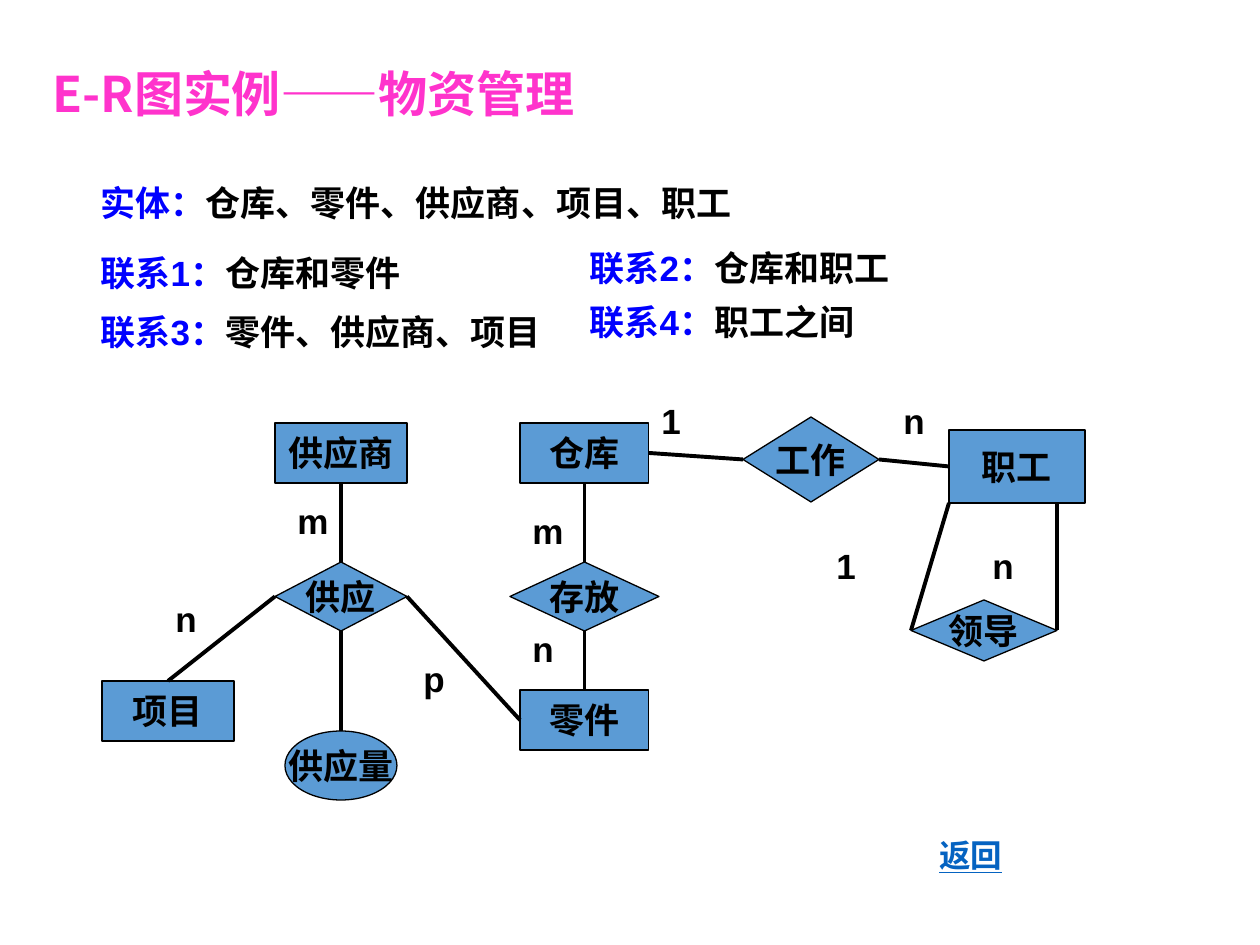
from lxml import etree
from pptx import Presentation
from pptx.dml.color import RGBColor
from pptx.enum.shapes import MSO_CONNECTOR, MSO_SHAPE
from pptx.enum.text import MSO_ANCHOR, PP_ALIGN
from pptx.oxml.ns import qn
from pptx.util import Inches, Pt

PX = Inches(1) // 126
RECT, DIAMOND, OVAL = MSO_SHAPE.RECTANGLE, MSO_SHAPE.DIAMOND, MSO_SHAPE.OVAL
STRAIGHT = MSO_CONNECTOR.STRAIGHT
LEFT, CENTER, MIDDLE = PP_ALIGN.LEFT, PP_ALIGN.CENTER, MSO_ANCHOR.MIDDLE
TOP, WEST, BASE, EAST = range(4)

BLACK = RGBColor(0, 0, 0)
BLUE = RGBColor(0, 0, 255)
PINK = RGBColor(0xFF, 0x33, 0xCC)
STEEL = RGBColor(0x5B, 0x9B, 0xD5)
LINK = RGBColor(0x05, 0x63, 0xC1)


def write(frame, text, color=BLACK, size=20, font="Arial", align=LEFT, line=None):
    """Append a bold run to the first paragraph and return it."""
    para = frame.paragraphs[0]
    para.alignment = align
    para.line_spacing = line
    run = para.add_run()
    run.text = text
    run.font.size, run.font.bold, run.font.name = Pt(size), True, font
    run.font.color.rgb = color
    east = etree.SubElement(run.font._element, qn("a:ea"))
    east.set("typeface", "Noto Sans CJK SC")
    return run


def add_box(x, y, w, h):
    frame = slide.shapes.add_textbox(x * PX, y * PX, w * PX, h * PX).text_frame
    frame.word_wrap = True
    return frame


deck = Presentation()
deck.slide_width, deck.slide_height = Inches(10), Inches(7.5)
slide = deck.slides.add_slide(deck.slide_layouts[5])

title = slide.shapes.title
title.left, title.top, title.width, title.height = 40 * PX, 18 * PX, 805 * PX, 157 * PX
title.text_frame.vertical_anchor = MIDDLE
write(title.text_frame, "E-R图实例——物资管理", color=PINK, size=28,
      font="Noto Sans CJK SC", line=0.9)

# Entities and relations in words
facts = [
    ("实体：", "仓库、零件、供应商、项目、职工", 88, 175, 1152),
    ("联系1：", "仓库和零件", 88, 245, 426),
    ("联系2：", "仓库和职工", 577, 240, 426),
    ("联系3：", "零件、供应商、项目", 88, 304, 610),
    ("联系4：", "职工之间", 577, 294, 426),
]
for head, body, x, y, w in facts:
    frame = add_box(x, y, w, 55)
    write(frame, head, color=BLUE)
    write(frame, body)

# Nodes of the diagram
nodes = {}
for name, kind, x, y, w, h in [
    ("供应商", RECT, 275, 423, 132, 60),
    ("供应", DIAMOND, 275, 562, 132, 69),
    ("项目", RECT, 102, 681, 132, 60),
    ("供应量", OVAL, 285, 731, 112, 69),
    ("仓库", RECT, 520, 423, 129, 60),
    ("存放", DIAMOND, 510, 562, 149, 69),
    ("零件", RECT, 520, 690, 129, 60),
    ("工作", DIAMOND, 743, 417, 136, 85),
    ("职工", RECT, 949, 430, 136, 73),
    ("领导", DIAMOND, 911, 600, 146, 61),
]:
    node = slide.shapes.add_shape(kind, x * PX, y * PX, w * PX, h * PX)
    node.shadow.inherit = False
    node.fill.solid()
    node.fill.fore_color.rgb = STEEL
    node.line.color.rgb = BLACK
    node.line.width = Pt(0.75)
    node.text_frame.word_wrap = False
    node.text_frame.vertical_anchor = MIDDLE
    write(node.text_frame, name, align=CENTER)
    nodes[name] = node

# Links: a start node, or a point on the lower edge of 职工, to an end node
staff = nodes["职工"]
foot = staff.top + staff.height
for start, out, end, into in [
    ("供应商", BASE, "供应", TOP),
    ("供应", WEST, "项目", TOP),
    ("供应", EAST, "零件", WEST),
    ("供应", BASE, "供应量", TOP),
    ("仓库", BASE, "存放", TOP),
    ("存放", BASE, "零件", TOP),
    ("仓库", EAST, "工作", WEST),
    ("工作", EAST, "职工", WEST),
    (None, 949, "领导", WEST),
    (None, 1057, "领导", EAST),
]:
    x = 0 if start else out * PX
    link = slide.shapes.add_connector(STRAIGHT, x, foot, x, foot)
    if start:
        link.begin_connect(nodes[start], out)
    link.end_connect(nodes[end], into)
    link.line.color.rgb = BLACK
    link.line.width = Pt(2.25)
    etree.SubElement(link._element.spPr, qn("a:effectLst"))

# Cardinalities
for mark, x, y in [
    ("m", 285, 493), ("n", 163, 591), ("p", 411, 651),
    ("m", 520, 503), ("n", 520, 621),
    ("1", 649, 393), ("n", 891, 393),
    ("1", 824, 538), ("n", 980, 538),
]:
    write(add_box(x, y, 76, 55), mark)

back = write(add_box(927, 830, 129, 50), "返回", color=LINK, size=18, font="Roboto")
back.font.underline = True

deck.save("out.pptx")
